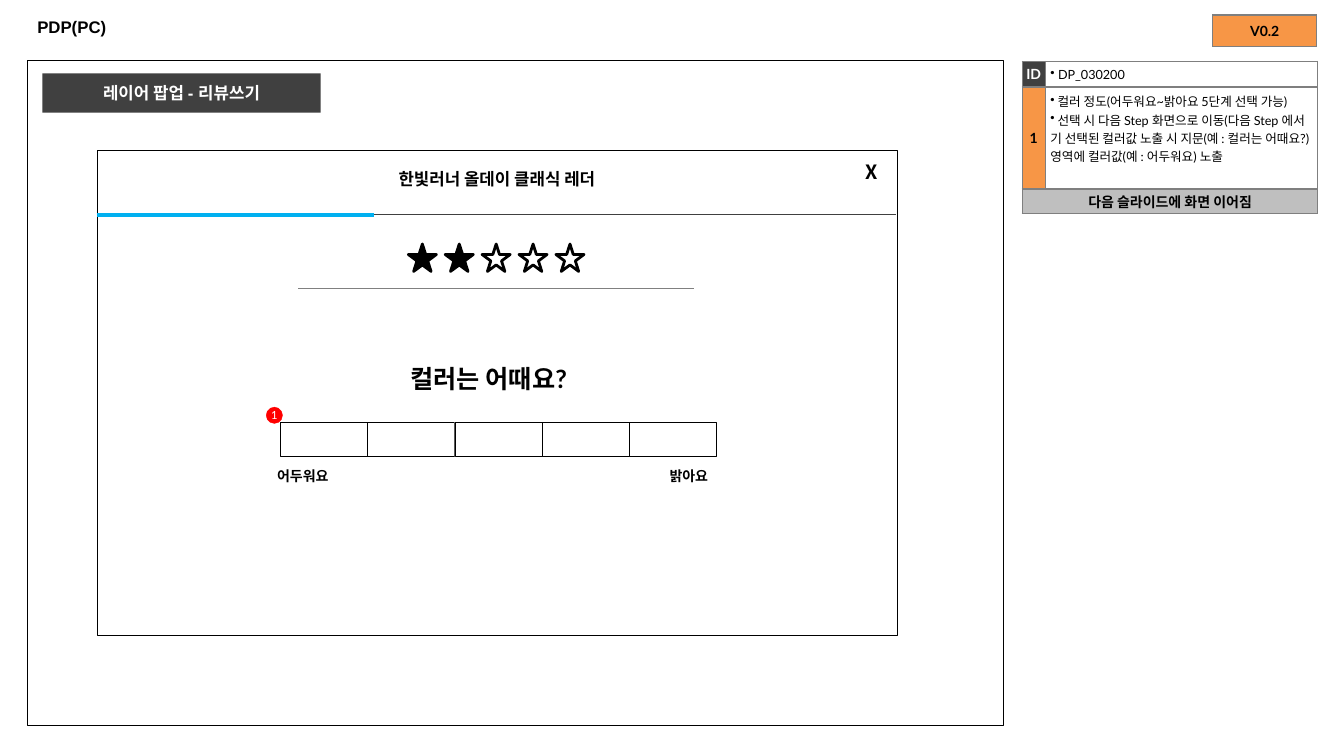
from dataclasses import dataclass
from typing import Optional

from lxml.etree import SubElement
from pptx import Presentation
from pptx.dml.color import RGBColor
from pptx.enum.shapes import MSO_CONNECTOR, MSO_SHAPE
from pptx.enum.text import MSO_ANCHOR, PP_ALIGN
from pptx.oxml.ns import qn
from pptx.util import Cm, Pt

BLACK = RGBColor(0x00, 0x00, 0x00)
WHITE = RGBColor(0xFF, 0xFF, 0xFF)
CHARCOAL = RGBColor(0x40, 0x40, 0x40)
RULE_GRAY = RGBColor(0x80, 0x80, 0x80)
BORDER_GRAY = RGBColor(0x7F, 0x7F, 0x7F)
LIGHT_GRAY = RGBColor(0xBF, 0xBF, 0xBF)
ORANGE = RGBColor(0xF7, 0x96, 0x46)
RED = RGBColor(0xFF, 0x00, 0x00)
PROGRESS_BLUE = RGBColor(0x00, 0xB0, 0xF0)
KOREAN_FONT = "Noto Sans CJK KR"


@dataclass(frozen=True)
class TextStyle:
    size: float
    font: str = "Lato"
    color: RGBColor = BLACK
    bold: bool = True
    align: PP_ALIGN = PP_ALIGN.CENTER
    bullet: bool = False


@dataclass(frozen=True)
class Label:
    text: str
    left: float
    top: float
    width: float
    height: float
    style: TextStyle
    anchor: MSO_ANCHOR = MSO_ANCHOR.TOP
    wrap: bool = True


@dataclass(frozen=True)
class Box:
    left: float
    top: float
    width: float
    height: float
    fill: Optional[RGBColor] = None
    line: Optional[RGBColor] = BLACK
    line_width: float = 0.25
    preset: MSO_SHAPE = MSO_SHAPE.RECTANGLE


@dataclass(frozen=True)
class Rule:
    left: float
    right: float
    top: float
    color: RGBColor
    width: float


@dataclass(frozen=True)
class CellContent:
    row: int
    column: int
    lines: tuple[str, ...]
    style: TextStyle
    fill: Optional[RGBColor] = None


CELL_LABEL = TextStyle(10)
CELL_BODY = TextStyle(9, bold=False, align=PP_ALIGN.LEFT, bullet=True)

LABELS = (
    Label("PDP(PC)", 0.69, 0.18, 32.49, 0.99,
          TextStyle(12, "Arial", align=PP_ALIGN.LEFT), MSO_ANCHOR.MIDDLE),
    Label("X", 21.56, 3.91, 0.81, 0.86,
          TextStyle(14, KOREAN_FONT, align=PP_ALIGN.LEFT), wrap=False),
    Label("컬러는 어때요?", 4.06, 9.04, 16.51, 1.27, TextStyle(18)),
    Label("어두워요", 5.94, 11.66, 3.38, 0.86, TextStyle(10)),
    Label("밝아요", 15.67, 11.66, 3.38, 0.86, TextStyle(10)),
)
RULES = (
    Rule(2.44, 22.58, 5.41, CHARCOAL, 0.75),
    Rule(2.44, 9.42, 5.41, PROGRESS_BLUE, 3),
    Rule(7.52, 17.5, 7.26, RULE_GRAY, 0.75),
)
DESCRIPTION_CELLS = (
    CellContent(0, 0, ("ID",), TextStyle(10, color=WHITE), CHARCOAL),
    CellContent(0, 1, (" DP_030200",), CELL_BODY),
    CellContent(1, 0, ("1",), CELL_LABEL, ORANGE),
    CellContent(1, 1, (
        " 컬러 정도(어두워요~밝아요 5단계 선택 가능)",
        " 선택 시 다음 Step 화면으로 이동(다음 Step 에서 기 선택된 컬러값 노출 시 "
        "지문(예 : 컬러는 어때요?) 영역에 컬러값(예 : 어두워요) 노출",
    ), CELL_BODY),
    CellContent(2, 0, ("다음 슬라이드에 화면 이어짐",), CELL_LABEL, LIGHT_GRAY),
)
VERSION_CELLS = (CellContent(0, 0, ("V0.2",), CELL_LABEL, ORANGE),)
STAR_COUNT, STARS_FILLED, STAR_PITCH = 5, 2, 0.93
STEP_COUNT, STEP_WIDTH = 5, 2.2


def write_text(text_frame, lines: tuple[str, ...], style: TextStyle) -> None:
    text_frame.text = "\n".join(lines)
    for paragraph in text_frame.paragraphs:
        paragraph.alignment = style.align
        if style.bullet:
            properties = paragraph._p.get_or_add_pPr()
            properties.set("marL", "0")
            properties.set("indent", "0")
            SubElement(properties, qn("a:buChar")).set("char", "•")
        for run in paragraph.runs:
            run.font.size = Pt(style.size)
            run.font.bold = style.bold
            run.font.name = style.font
            run.font.color.rgb = style.color
            east_asian = SubElement(run._r.get_or_add_rPr(), qn("a:ea"))
            east_asian.set("typeface", KOREAN_FONT)


def add_label(slide, label: Label) -> None:
    text_box = slide.shapes.add_textbox(
        Cm(label.left), Cm(label.top), Cm(label.width), Cm(label.height))
    text_box.text_frame.word_wrap = label.wrap
    text_box.text_frame.vertical_anchor = label.anchor
    write_text(text_box.text_frame, (label.text,), label.style)


def add_box(slide, box: Box):
    shape = slide.shapes.add_shape(
        box.preset, Cm(box.left), Cm(box.top), Cm(box.width), Cm(box.height))
    shape.shadow.inherit = False
    if box.fill is None:
        shape.fill.background()
    else:
        shape.fill.solid()
        shape.fill.fore_color.rgb = box.fill
    if box.line is None:
        shape.line.fill.background()
    else:
        shape.line.color.rgb = box.line
        shape.line.width = Pt(box.line_width)
    return shape


def add_rule(slide, rule: Rule) -> None:
    connector = slide.shapes.add_connector(
        MSO_CONNECTOR.STRAIGHT, Cm(rule.left), Cm(rule.top), Cm(rule.right), Cm(rule.top))
    connector.line.color.rgb = rule.color
    connector.line.width = Pt(rule.width)
    SubElement(connector._element.spPr, qn("a:effectLst"))


def style_cell(cell, fill: Optional[RGBColor]) -> None:
    """Set the borders and the fill of a table cell."""
    properties = cell._tc.get_or_add_tcPr()
    for side in ("a:lnL", "a:lnR", "a:lnT", "a:lnB"):
        border = SubElement(properties, qn(side), w=str(Pt(1)))
        solid = SubElement(border, qn("a:solidFill"))
        SubElement(solid, qn("a:srgbClr"), val=str(BORDER_GRAY))
    if fill is None:
        cell.fill.background()
    else:
        cell.fill.solid()
        cell.fill.fore_color.rgb = fill


def add_grid(slide, left: float, top: float, columns: tuple[float, ...],
             rows: tuple[float, ...], contents: tuple[CellContent, ...]):
    table = slide.shapes.add_table(
        len(rows), len(columns), Cm(left), Cm(top), Cm(sum(columns)), Cm(sum(rows))).table
    table.first_row = table.horz_banding = False
    for column, width in zip(table.columns, columns):
        column.width = Cm(width)
    for row, height in zip(table.rows, rows):
        row.height = Cm(height)
    fills = {(content.row, content.column): content.fill for content in contents}
    for row in range(len(rows)):
        for column in range(len(columns)):
            style_cell(table.cell(row, column), fills.get((row, column)))
    for content in contents:
        cell = table.cell(content.row, content.column)
        margin = Cm(0.13 if content.style.bullet else 0)
        cell.margin_left = cell.margin_right = cell.margin_top = cell.margin_bottom = margin
        cell.vertical_anchor = MSO_ANCHOR.TOP if content.style.bullet else MSO_ANCHOR.MIDDLE
        write_text(cell.text_frame, content.lines, content.style)
    return table


def main() -> None:
    presentation = Presentation()
    presentation.slide_width, presentation.slide_height = Cm(33.87), Cm(19.05)
    slide = presentation.slides.add_slide(presentation.slide_layouts[6])

    description = add_grid(slide, 25.76, 1.55, (0.58, 6.87), (0.62, 2.57, 0.61),
                           DESCRIPTION_CELLS)
    description.cell(2, 0).merge(description.cell(2, 1))
    add_grid(slide, 30.56, 0.38, (2.62,), (0.79,), VERSION_CELLS)

    add_box(slide, Box(0.69, 1.52, 24.61, 16.76, line_width=0.75))
    popup = add_box(slide, Box(2.44, 3.78, 20.17, 12.24))
    popup.text_frame.vertical_anchor = MSO_ANCHOR.TOP
    popup.text_frame.margin_top = Cm(0.48)
    write_text(popup.text_frame, ("한빛러너 올데이 클래식 레더",), TextStyle(12))
    heading = add_box(slide, Box(1.07, 1.85, 7.01, 0.99, CHARCOAL, None))
    write_text(heading.text_frame, ("레이어 팝업 - 리뷰쓰기",), TextStyle(12, "Arial", WHITE))

    for rule in RULES:
        add_rule(slide, rule)
    for star in range(STAR_COUNT):
        add_box(slide, Box(10.29 + star * STAR_PITCH, 6.15, 0.71, 0.69,
                           BLACK if star < STARS_FILLED else None, BLACK, 2,
                           MSO_SHAPE.STAR_5_POINT))
    for step in range(STEP_COUNT):
        add_box(slide, Box(7.06 + step * STEP_WIDTH, 10.64, STEP_WIDTH, 0.86, WHITE))
    badge = add_box(slide, Box(6.71, 10.26, 0.41, 0.41, RED, RED, preset=MSO_SHAPE.OVAL))
    badge.text_frame.word_wrap = False
    write_text(badge.text_frame, ("1",), TextStyle(8, color=WHITE, bold=False))
    for label in LABELS:
        add_label(slide, label)

    presentation.save("out.pptx")


if __name__ == "__main__":
    main()
